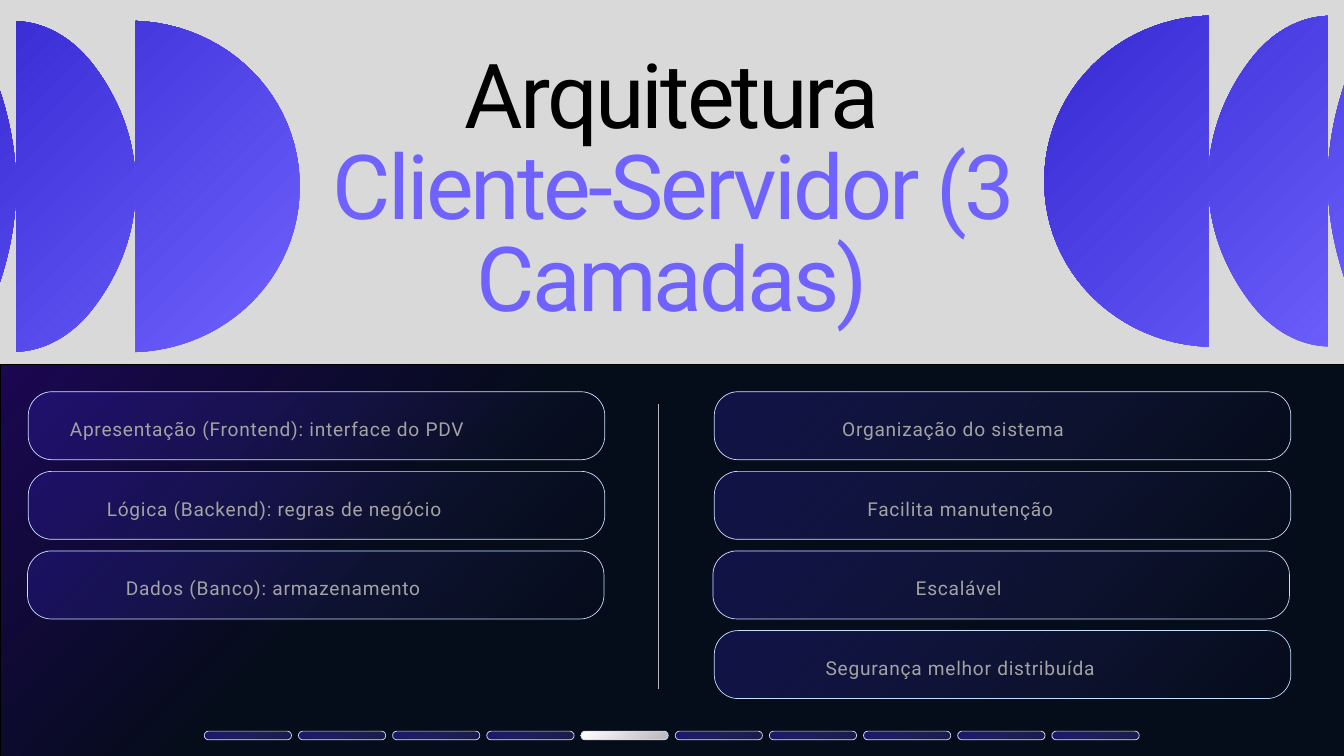
"""Build the three-tier client-server architecture slide."""
from dataclasses import dataclass
from typing import NamedTuple

from lxml import etree
from pptx import Presentation
from pptx import util as u
from pptx.dml.color import RGBColor
from pptx.enum import shapes, text
from pptx.oxml.ns import qn


class Stop(NamedTuple):
    pos: int
    color: str
    alpha: int = 100


class Box(NamedTuple):
    left: float
    top: float
    width: float
    height: float

    def emu(self) -> list:
        return [u.Cm(v) for v in self]


@dataclass(frozen=True)
class Theme:
    font: str = "Roboto"
    title_size: float = 96.1
    title_leading: float = 98
    label_size: float = 20.5
    label_leading: float = 28.7
    line_width: float = 0.75
    page: str = "D9D9D9"
    black: str = "000000"
    accent: str = "6F62FF"
    label: str = "A3A3A3"
    divider: str = "B8B8B8"
    outline: str = "C5DFFF"
    panel: tuple = (Stop(0, "1B0752"), Stop(33, "050C1A"), Stop(67, "050C1A"), Stop(100, "050C1A"))
    disc: tuple = (Stop(0, "3629D1"), Stop(100, "6F62FF"))
    card: tuple = (Stop(0, "3629D1", 26), Stop(100, "6F62FF", 0))
    step: tuple = (Stop(0, "3629D1", 45), Stop(100, "6F62FF", 18))
    active: tuple = (Stop(0, "FFFFFF"), Stop(100, "B8B8B8"))


@dataclass(frozen=True)
class Card:
    label: str
    left: float
    row: int
    label_shift: float


THEME = Theme()
SLIDE_W, SLIDE_H = 50.8, 28.58
CARD_TOP, CARD_PITCH, CARD_W, CARD_H = 14.81, 3.01, 21.79, 2.57
STEP_COUNT, ACTIVE_STEP, STEP_PITCH = 10, 4, 3.56

CARDS = (
    Card("Apresentação (Frontend): interface do PDV", 1.07, 0, -0.76),
    Card("Lógica (Backend): regras de negócio", 1.07, 1, -0.49),
    Card("Dados (Banco): armazenamento", 1.04, 2, -0.5),
    Card("Organização do sistema", 27, 0, -0.76),
    Card("Facilita manutenção", 27, 1, -0.49),
    Card("Escalável", 26.95, 2, -0.5),
    Card("Segurança melhor distribuída", 27, 3, -0.49),
)

LOBES = (
    (6.86 - 1.19, ((0, 6.26), (3.48, 6.13), (6.2, 3.4), (6.2, 0))),
    (0.61 + 0.54, ((0, 6.25), (1.24, 6.2), (2.29, 5.49), (3.05, 4.42),
                   (3.84, 3.33), (4.52, 1.83), (4.52, 0))),
    (-1.73, ((0, 6.25), (0.15, 6.22), (0.38, 6.02), (0.61, 5.79), (0.91, 5.46),
             (1.17, 5), (1.42, 4.45), (1.88, 3.33), (2.34, 1.75), (2.34, 0))),
)
FLAT_EDGES = (5.13, 0.61, -1.73)


def paint(sp, stops: tuple, line: str | None = None) -> None:
    """Give a shape a gradient spreading from its top-left corner and an optional outline."""
    sp.shadow.inherit = False
    sp.fill.background()
    props = sp._element.spPr
    grad = etree.Element(qn("a:gradFill"))
    stop_list = etree.SubElement(grad, qn("a:gsLst"))
    for stop in stops:
        gs = etree.SubElement(stop_list, qn("a:gs"), pos=str(stop.pos * 1000))
        color = etree.SubElement(gs, qn("a:srgbClr"), val=stop.color)
        if stop.alpha < 100:
            etree.SubElement(color, qn("a:alpha"), val=str(stop.alpha * 1000))
    ramp = etree.SubElement(grad, qn("a:path"), path="circle")
    etree.SubElement(ramp, qn("a:fillToRect"), l="0", t="0", r="100000", b="100000")
    props.replace(props.find(qn("a:noFill")), grad)
    if line:
        sp.line.color.rgb = RGBColor.from_string(line)
        sp.line.width = u.Pt(THEME.line_width)
    else:
        sp.line.fill.background()


def write(sp, lines: tuple, *, size: float, leading: float, spacing: float) -> None:
    """Fill a shape with centred paragraphs given as (words, colour) pairs."""
    tf = sp.text_frame
    tf.word_wrap = True
    tf.auto_size = text.MSO_AUTO_SIZE.NONE
    tf.vertical_anchor = text.MSO_ANCHOR.TOP
    tf.margin_left = tf.margin_top = tf.margin_right = tf.margin_bottom = 0
    for i, (words, color) in enumerate(lines):
        p = tf.add_paragraph() if i else tf.paragraphs[0]
        p.alignment = text.PP_ALIGN.CENTER
        p.line_spacing = u.Pt(leading)
        r = p.add_run()
        r.text = words
        r.font.name = THEME.font
        r.font.size = u.Pt(size)
        r.font.color.rgb = RGBColor.from_string(color)
        r._r.get_or_add_rPr().set("spc", str(round(spacing * 100)))


def add_pill(slide, box: Box, stops: tuple, roundness: float) -> None:
    """Draw an outlined rounded rectangle."""
    sp = slide.shapes.add_shape(shapes.MSO_SHAPE.ROUNDED_RECTANGLE, *box.emu())
    sp.adjustments[0] = roundness
    paint(sp, stops, THEME.outline)


def sample(controls: tuple, steps: int = 24) -> list:
    """Return points along a chain of cubic curves."""
    points = [controls[0]]
    for i in range(0, len(controls) - 1, 3):
        a, b, c, d = controls[i:i + 4]
        for k in range(1, steps + 1):
            t = k / steps
            s = 1 - t
            points.append(tuple(
                s ** 3 * a[n] + 3 * s * s * t * b[n] + 3 * s * t * t * c[n] + t ** 3 * d[n]
                for n in (0, 1)))
    return points


def add_discs(slide, middle: float, mirrored: bool) -> None:
    """Draw three half discs that bulge towards the title."""
    builder = None
    for edge, (_, controls) in zip(FLAT_EDGES, LOBES):
        quarter = sample(controls)
        outline = [(x, -y) for x, y in quarter] + quarter[-2::-1]
        points = [(u.Cm(SLIDE_W - edge - x if mirrored else edge + x), u.Cm(middle + y))
                  for x, y in outline]
        if builder is None:
            builder = slide.shapes.build_freeform(*points[0])
        else:
            builder.move_to(*points[0])
        builder.add_line_segments(points[1:], close=True)
    paint(builder.convert_to_shape(), THEME.disc)


def add_card(slide, card: Card) -> None:
    """Draw a card and its label."""
    top = CARD_TOP + card.row * CARD_PITCH
    add_pill(slide, Box(card.left, top, CARD_W, CARD_H), THEME.card, 0.35)
    label = slide.shapes.add_textbox(
        *Box(card.left + card.label_shift, top + 0.83, 19.58, 0.97).emu())
    write(label, ((card.label, THEME.label),), size=THEME.label_size,
          leading=THEME.label_leading, spacing=0.8)


def add_divider(slide) -> None:
    """Draw the vertical rule between the two columns."""
    line = slide.shapes.add_connector(
        shapes.MSO_CONNECTOR.STRAIGHT, u.Cm(24.89), u.Cm(26.04), u.Cm(24.89), u.Cm(15.29))
    line.line.color.rgb = RGBColor.from_string(THEME.divider)
    line.line.width = u.Pt(THEME.line_width)
    etree.SubElement(line._element.spPr, qn("a:effectLst"))


def main() -> None:
    """Assemble and save the slide."""
    prs = Presentation()
    prs.slide_width, prs.slide_height = u.Cm(SLIDE_W), u.Cm(SLIDE_H)
    slide = prs.slides.add_slide(prs.slide_layouts[5])
    slide.background.fill.solid()
    slide.background.fill.fore_color.rgb = RGBColor.from_string(THEME.page)
    panel = slide.shapes.add_shape(
        shapes.MSO_SHAPE.RECTANGLE, *Box(0, 13.79, SLIDE_W, 15.32).emu())
    paint(panel, THEME.panel, THEME.black)
    add_divider(slide)
    add_discs(slide, 6.85, mirrored=True)
    add_discs(slide, 7.05, mirrored=False)
    for i in range(STEP_COUNT):
        stops = THEME.active if i == ACTIVE_STEP else THEME.step
        add_pill(slide, Box(7.72 + i * STEP_PITCH, 27.64, 3.3, 0.33), stops, 0.5)
    title = slide.shapes.title
    title.left, title.top, title.width, title.height = Box(12.34, 2.08, 26.14, 10.49).emu()
    write(title, (("Arquitetura", THEME.black), ("Cliente-Servidor (3 Camadas)", THEME.accent)),
          size=THEME.title_size, leading=THEME.title_leading, spacing=-3.1)
    for card in CARDS:
        add_card(slide, card)
    prs.save("out.pptx")


if __name__ == "__main__":
    main()
